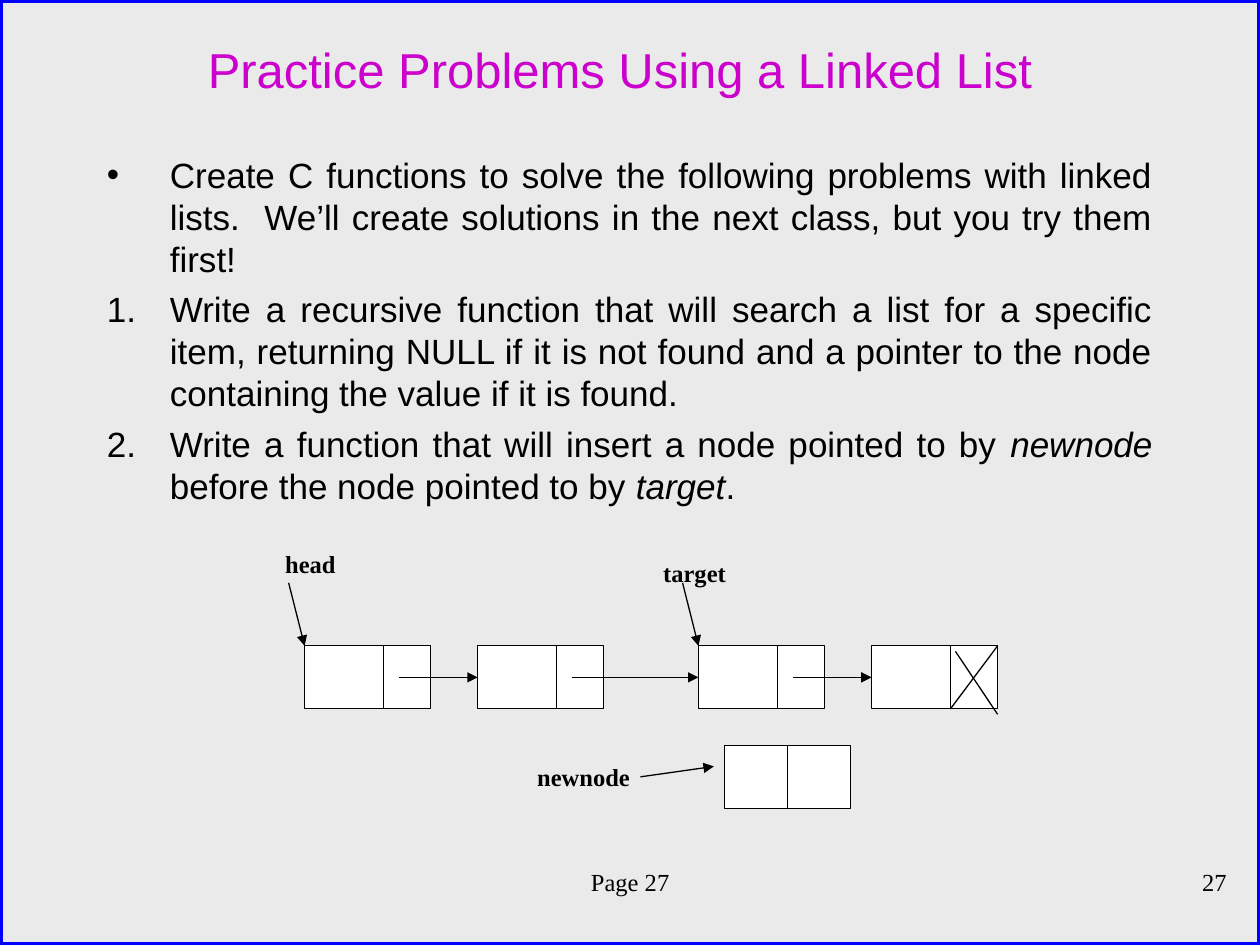
from lxml import etree
from pptx import Presentation
from pptx.dml.color import RGBColor
from pptx.enum.shapes import MSO_CONNECTOR, MSO_SHAPE
from pptx.enum.text import MSO_ANCHOR, MSO_AUTO_SIZE, PP_ALIGN
from pptx.oxml.ns import qn
from pptx.util import Cm, Pt

RECTANGLE = MSO_SHAPE.RECTANGLE
STRAIGHT = MSO_CONNECTOR.STRAIGHT
LEFT, CENTER = PP_ALIGN.LEFT, PP_ALIGN.CENTER
RIGHT, JUSTIFY = PP_ALIGN.RIGHT, PP_ALIGN.JUSTIFY
TOP_SIDE, LEFT_SIDE, BOTTOM_SIDE = 0, 1, 2

COLORS = {
    "background": "EAEAEA",
    "border": "0000FF",
    "title": "CC00CC",
    "ink": "000000",
    "node": "FFFFFF",
}
SANS, SERIF = "Arial", "Times New Roman"

NODE_WIDTH, NODE_HEIGHT = 2.54, 1.27
NODE_LEFTS = [6.14, 9.63, 14.08, 17.57]
LIST_TOP = 13.02
DIVIDER_OFFSET, POINTER_OFFSET = 1.59, 1.9

PROBLEMS = [
    ("buChar", {"char": "•"}, [
        ("Create C functions to solve the following problems with linked lists.  "
         "We’ll create solutions in the next class, but you try them first!", False)]),
    ("buAutoNum", {"type": "arabicPeriod"}, [
        ("Write a recursive function that will search a list for a specific item, "
         "returning NULL if it is not found and a pointer to the node containing "
         "the value if it is found.", False)]),
    ("buAutoNum", {"type": "arabicPeriod"}, [
        ("Write a function that will insert a node pointed to by ", False),
        ("newnode", True),
        (" before the node pointed to by ", False),
        ("target", True),
        (".", False)]),
]


def color(name):
    return RGBColor.from_string(COLORS[name])


def place(shape, left, top, width, height):
    shape.left, shape.top = Cm(left), Cm(top)
    shape.width, shape.height = Cm(width), Cm(height)


def set_font(font, name, size, color_name, bold=False):
    font.name = name
    font.size = Pt(size)
    font.bold = bold
    font.color.rgb = color(color_name)


def add_box(slide, left, top, width, height, fill, line, line_width):
    shape = slide.shapes.add_shape(RECTANGLE, Cm(left), Cm(top), Cm(width), Cm(height))
    shape.shadow.inherit = False
    shape.fill.solid()
    shape.fill.fore_color.rgb = color(fill)
    shape.line.color.rgb = color(line)
    shape.line.width = Pt(line_width)
    return shape


def add_node(slide, left, top):
    return add_box(slide, left, top, NODE_WIDTH, NODE_HEIGHT, "node", "ink", 0.75)


def add_line(slide, start, end, arrow=False):
    connector = slide.shapes.add_connector(
        STRAIGHT, Cm(start[0]), Cm(start[1]), Cm(end[0]), Cm(end[1]))
    connector.line.color.rgb = color("ink")
    connector.line.width = Pt(0.75)
    if arrow:
        outline = connector.line._get_or_add_ln()
        etree.SubElement(outline, qn("a:tailEnd"), type="triangle")
    etree.SubElement(connector._element.spPr, qn("a:effectLst"))
    return connector


def add_label(slide, text, left, top, width, height, align=LEFT, bold=False):
    box = slide.shapes.add_textbox(Cm(left), Cm(top), Cm(width), Cm(height))
    box.text_frame.word_wrap = True
    box.text_frame.text = text
    paragraph = box.text_frame.paragraphs[0]
    paragraph.alignment = align
    set_font(paragraph.runs[0].font, SERIF, 14, "ink", bold)


def add_border(slide, presentation):
    border = add_box(slide, 0, 0, presentation.slide_width.cm,
                     presentation.slide_height.cm, "background", "border", 3)
    slide.shapes.title._element.addprevious(border._element)


def fill_title(slide):
    title = slide.shapes.title
    place(title, 1.7, 0.43, 21.59, 1.9)
    frame = title.text_frame
    frame.text = "Practice Problems Using a Linked List"
    frame.auto_size = MSO_AUTO_SIZE.NONE
    frame.vertical_anchor = MSO_ANCHOR.MIDDLE
    frame.paragraphs[0].alignment = CENTER
    set_font(frame.paragraphs[0].runs[0].font, SANS, 28, "title")


def set_bullet(paragraph, tag, attributes):
    properties = paragraph._p.get_or_add_pPr()
    properties.set("marL", str(Cm(1.27)))
    properties.set("indent", str(Cm(-1.27)))
    bullet_color = etree.SubElement(properties, qn("a:buClr"))
    etree.SubElement(bullet_color, qn("a:srgbClr"), val=COLORS["ink"])
    etree.SubElement(properties, qn("a:buFont"), typeface=SANS)
    etree.SubElement(properties, qn(f"a:{tag}"), attributes)


def fill_body(slide):
    body = slide.placeholders[1]
    place(body, 1.9, 2.96, 21.59, 14.82)
    frame = body.text_frame
    frame.auto_size = MSO_AUTO_SIZE.NONE
    for index, (tag, attributes, runs) in enumerate(PROBLEMS):
        paragraph = frame.add_paragraph() if index else frame.paragraphs[0]
        paragraph.alignment = JUSTIFY
        paragraph.space_before = Pt(5 if index else 0)
        set_bullet(paragraph, tag, attributes)
        for text, italic in runs:
            run = paragraph.add_run()
            run.text = text
            set_font(run.font, SANS, 20, "ink")
            run.font.italic = italic


def draw_list(slide):
    bottom = LIST_TOP + NODE_HEIGHT
    middle = LIST_TOP + NODE_HEIGHT / 2
    nodes = [add_node(slide, left, LIST_TOP) for left in NODE_LEFTS]
    for left in NODE_LEFTS:
        divider = left + DIVIDER_OFFSET
        add_line(slide, (divider, LIST_TOP), (divider, bottom))
    for left, next_left, next_node in zip(NODE_LEFTS, NODE_LEFTS[1:], nodes[1:]):
        pointer = add_line(slide, (left + POINTER_OFFSET, middle), (next_left, middle), True)
        pointer.end_connect(next_node, LEFT_SIDE)

    null_left = NODE_LEFTS[-1] + DIVIDER_OFFSET
    null_right = NODE_LEFTS[-1] + NODE_WIDTH
    add_line(slide, (null_right, LIST_TOP), (null_left, bottom))
    add_line(slide, (null_left + 0.1, LIST_TOP + 0.11), (null_right, bottom + 0.11))

    for left in (NODE_LEFTS[0], NODE_LEFTS[2]):
        add_line(slide, (left - 0.32, 11.75), (left, LIST_TOP), True)
    add_label(slide, "head", 5.5, 10.95, 2.22, 0.95, bold=True)
    add_label(slide, "target", 13.12, 11.13, 2.54, 0.95, bold=True)


def draw_new_node(slide):
    left, top = 14.6, 15.03
    node = add_node(slide, left, top)
    center = left + NODE_WIDTH / 2
    divider = add_line(slide, (center, top), (center, top + NODE_HEIGHT))
    divider.begin_connect(node, TOP_SIDE)
    divider.end_connect(node, BOTTOM_SIDE)
    add_line(slide, (12.91, 15.66), (14.39, 15.45), True)
    add_label(slide, "newnode", 10.58, 15.24, 2.54, 0.95, bold=True)


def main():
    presentation = Presentation()
    presentation.slide_width, presentation.slide_height = Cm(25.4), Cm(19.05)
    slide = presentation.slides.add_slide(presentation.slide_layouts[1])
    slide.background.fill.solid()
    slide.background.fill.fore_color.rgb = color("background")
    add_border(slide, presentation)
    fill_title(slide)
    fill_body(slide)
    draw_list(slide)
    draw_new_node(slide)
    add_label(slide, "Page 27", 1.7, 17.35, 22.01, 1.27, CENTER)
    add_label(slide, "27", 19.69, 17.35, 5.29, 1.27, RIGHT)
    presentation.save("out.pptx")


if __name__ == "__main__":
    main()
